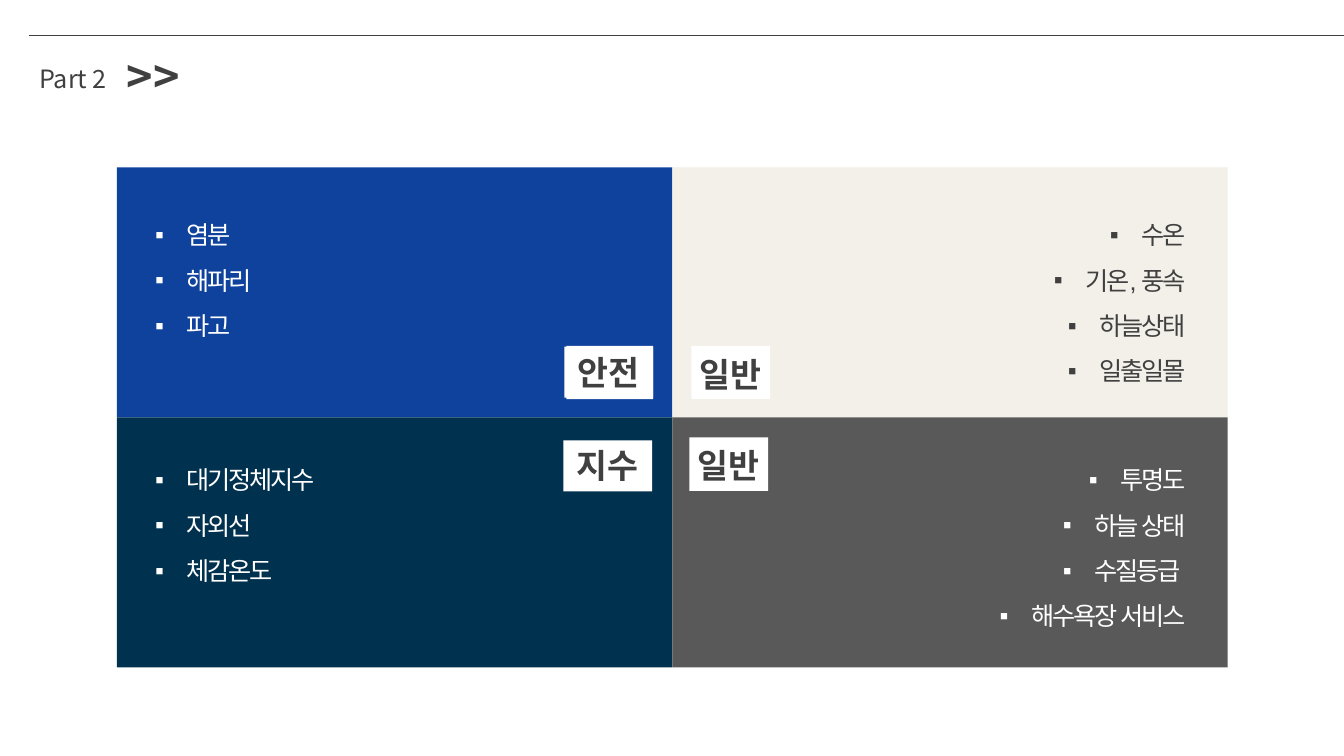
"""Build the Part 2 slide: four quadrants of beach information."""
import pptx
import pptx.dml.color
import pptx.enum.shapes
import pptx.enum.text
import pptx.oxml.ns
import pptx.util
from lxml import etree

Pt = pptx.util.Pt
ALIGN = pptx.enum.text.PP_ALIGN
RECTANGLE = pptx.enum.shapes.MSO_SHAPE.RECTANGLE
qn = pptx.oxml.ns.qn
COLORS = {"ink": "404040", "white": "FFFFFF", "blue": "0F429D",
          "cream": "F3EFE9", "navy": "00314F", "gray": "595959"}
HEADING_FONT = "Noto Sans CJK KR"

deck = pptx.Presentation()
deck.slide_width, deck.slide_height = Pt(960), Pt(540)
slide = deck.slides.add_slide(deck.slide_layouts[6])


def rgb(name):
    return pptx.dml.color.RGBColor.from_string(COLORS[name])


def add_block(left, top, width, height, fill=None, lines=(), size=18,
              font=HEADING_FONT, color="ink", bold=False, align=ALIGN.LEFT, bullet=None):
    if fill:
        block = slide.shapes.add_shape(RECTANGLE, Pt(left), Pt(top), Pt(width), Pt(height))
        block.shadow.inherit = False
        block.fill.solid()
        block.fill.fore_color.rgb = rgb(fill)
        block.line.fill.background()
    else:
        block = slide.shapes.add_textbox(Pt(left), Pt(top), Pt(width), Pt(height))
    frame = block.text_frame
    frame.word_wrap = bool(bullet)
    frame.vertical_anchor = pptx.enum.text.MSO_ANCHOR.TOP
    for index, line in enumerate(lines):
        paragraph = frame.paragraphs[0] if index == 0 else frame.add_paragraph()
        paragraph.alignment = align
        run = paragraph.add_run()
        run.text = line
        if bullet:
            paragraph.line_spacing = 1.5
            properties = paragraph._p.get_or_add_pPr()
            properties.set("marL", str(Pt(22.5)))
            properties.set("indent", str(Pt(-22.5)))
            etree.SubElement(properties, qn("a:buFont")).set("typeface", "Arial")
            etree.SubElement(properties, qn("a:buChar")).set("char", bullet)
            run._r.get_or_add_rPr().set("spc", "-150")
        paragraph.font.size = Pt(size)
        paragraph.font.name = font
        paragraph.font.bold = bold
        paragraph.font.color.rgb = rgb(color)
        east_asian = etree.Element(qn("a:ea"))
        east_asian.set("typeface", font)
        paragraph.font._element.find(qn("a:latin")).addnext(east_asian)


top_rule = slide.shapes.add_connector(
    pptx.enum.shapes.MSO_CONNECTOR.STRAIGHT, Pt(20.9), Pt(25.4), Pt(960), Pt(25.4))
top_rule.line.color.rgb = rgb("ink")
top_rule.line.width = Pt(0.5)
etree.SubElement(top_rule._element.spPr, qn("a:effectLst"))

add_block(83.5, 31, 57, 46, lines=[">>"], size=32, bold=True)
add_block(20.9, 41.8, 63.4, 29, lines=["Part 2"])

QUADRANT_LEFT, QUADRANT_TOP = 83.5, 119.5
QUADRANT_WIDTH, QUADRANT_HEIGHT = 396.7, 178.6
for index, fill in enumerate(["blue", "cream", "navy", "gray"]):
    row, column = divmod(index, 2)
    add_block(QUADRANT_LEFT + column * QUADRANT_WIDTH, QUADRANT_TOP + row * QUADRANT_HEIGHT,
              QUADRANT_WIDTH, QUADRANT_HEIGHT, fill)

for left, top, width in [(404.6, 247, 61.9), (493.9, 247, 56.2), (492.5, 312.5, 56.2)]:
    add_block(left, top, width, 38.2, "white")

for label, left, top, fill in [("안전", 403.2, 247.7, "white"), ("일반", 490.3, 249.1, None),
                               ("지수", 402.5, 314.6, "white"), ("일반", 488.9, 314.6, None)]:
    add_block(left, top, 63.4, 36.4, fill, [label], 24, bold=True, align=ALIGN.CENTER)

for left, top, width, height, color, align, items in [
    (103.7, 142.6, 243.4, 105.1, "white", ALIGN.LEFT, ["염분", "해파리", "파고"]),
    (621.4, 142.6, 232.6, 203.8, "ink", ALIGN.RIGHT, ["수온", "기온, 풍속", "하늘상태", "일출일몰"]),
    (103.7, 317.5, 243.4, 105.1, "white", ALIGN.LEFT, ["대기정체지수", "자외선", "체감온도"]),
    (657.4, 317.5, 196.6, 138.2, "white", ALIGN.RIGHT,
     ["투명도", "하늘 상태", "수질등급 ", "해수욕장 서비스"]),
]:
    add_block(left, top, width, height, lines=items, font="Arial", color=color,
              align=align, bullet="▪")

deck.save("out.pptx")
